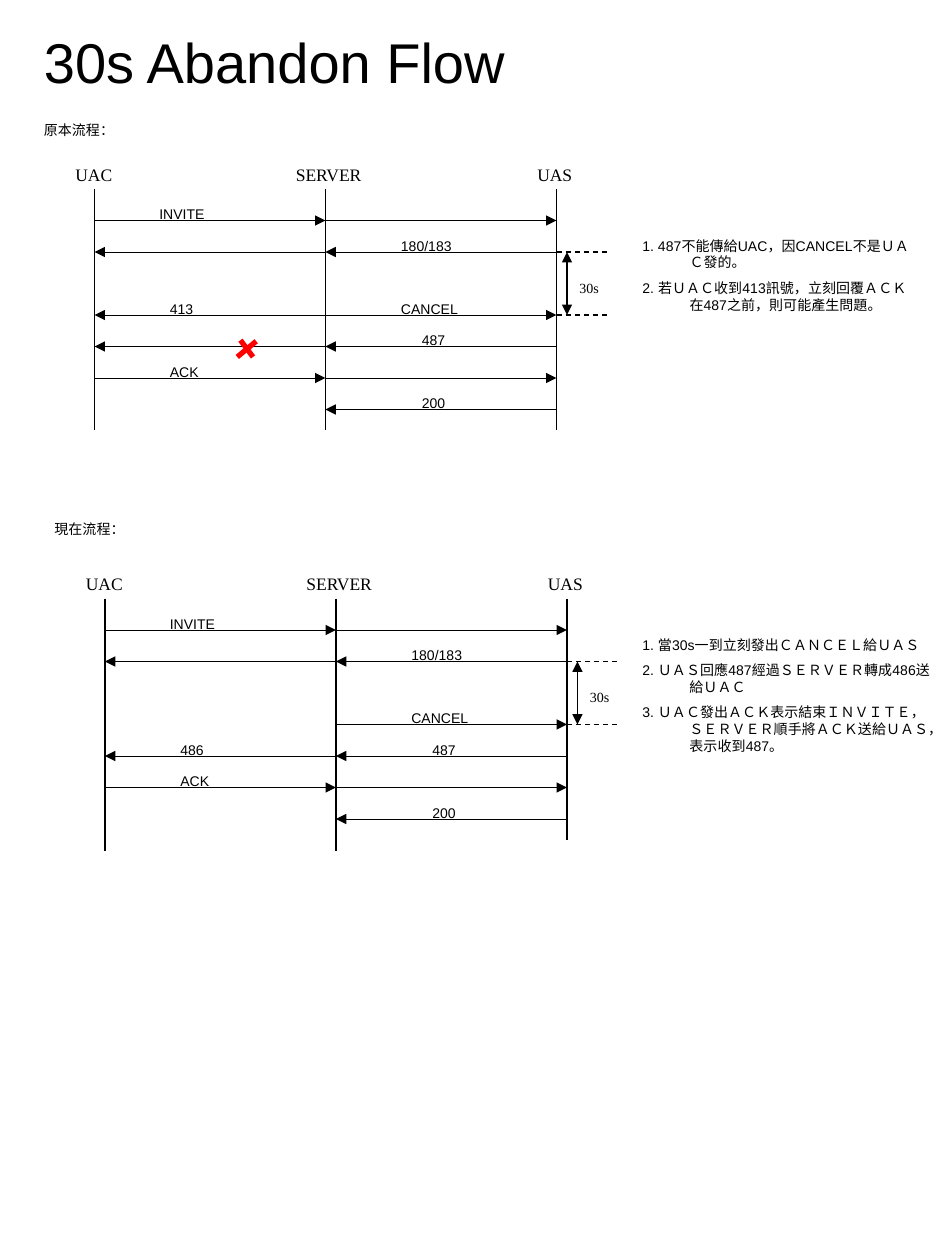
from lxml.etree import SubElement
from pptx import Presentation
from pptx.dml.color import RGBColor
from pptx.enum.dml import MSO_LINE
from pptx.enum.shapes import MSO_CONNECTOR
from pptx.enum.text import MSO_AUTO_SIZE
from pptx.oxml.ns import qn
from pptx.util import Cm, Pt

TITLE = "30s Abandon Flow"
LANES = [("UAC", 3, 6), ("SERVER", 4, 9), ("UAS", 3, 6)]
LABELS = {
    "INVITE": (5, 7), "180/183": (6, 10), "CANCEL": (6, 8), "ACK": (6, 7),
    "413": (6, 5), "486": (6, 5), "487": (8, 5), "200": (8, 5),
}
SHARED_MESSAGES = [
    (1, 0, ">", "INVITE"), (1, 1, ">", None),
    (2, 0, "<", None), (2, 1, "<", "180/183"),
    (4, 1, ">", "CANCEL"),
    (5, 1, "<", "487"),
    (6, 0, ">", "ACK"), (6, 1, ">", None),
    (7, 1, "<", "200"),
]
FLOWS = [
    {
        "heading": "原本流程：", "heading_at": (3, 11),
        "left": 9, "top": 18, "lifelines": (23, 23, 23),
        "messages": [(4, 0, "<", "413"), (5, 0, "<", None)],
        "cross": [((13.9, 14.4), (15.1, 16)), ((15.4, 14.5), (13.6, 16))],
        "notes_at": (60, 22, 28, 9),
        "notes": [
            "1. 487不能傳給UAC，因CANCEL不是ＵＡＣ發的。",
            "2. 若ＵＡＣ收到413訊號，立刻回覆ＡＣＫ在487之前，則可能產生問題。",
        ],
    },
    {
        "heading": "現在流程：", "heading_at": (4, 49),
        "left": 10, "top": 57, "lifelines": (24, 24, 23),
        "messages": [(5, 0, "<", "486")],
        "cross": [],
        "notes_at": (60, 60, 30, 12.5),
        "notes": [
            "1. 當30s一到立刻發出ＣＡＮＣＥＬ給ＵＡＳ",
            "2. ＵＡＳ回應487經過ＳＥＲＶＥＲ轉成486送給ＵＡＣ",
            "3. ＵＡＣ發出ＡＣＫ表示結束ＩＮＶＩＴＥ，ＳＥＲＶＥＲ順手將ＡＣＫ送給ＵＡＳ，表示收到487。",
        ],
    },
]
LANE_GAP, ROW_GAP = 22, 3
TIMER_START, TIMER_END = 2, 4
LABEL_HEIGHT = 2.9

presentation = Presentation()
presentation.slide_width, presentation.slide_height = Cm(19.05), Cm(25.4)
slide = presentation.slides.add_slide(presentation.slide_layouts[6])


def grid(units):
    return Cm(units * 2.54 / 12)


def color(code):
    return RGBColor.from_string(code)


def add_text(lines, left, top, width, height=LABEL_HEIGHT, size=8, font="Arial", grow=True):
    box = slide.shapes.add_textbox(grid(left), grid(top), grid(width), grid(height))
    frame = box.text_frame
    frame.word_wrap = True
    frame.auto_size = MSO_AUTO_SIZE.SHAPE_TO_FIT_TEXT if grow else MSO_AUTO_SIZE.NONE
    frame.text = "\n".join(lines)
    for paragraph in frame.paragraphs:
        paragraph.space_before = Pt(size * 0.62)
        paragraph.font.size = Pt(size)
        paragraph.font.name = font
        paragraph.font.color.rgb = color("000000")
        properties = paragraph._p.get_or_add_pPr()
        properties.set("marL", str(Cm(0.95)))
        properties.set("indent", str(-Cm(0.95)))


def add_line(start, end, width, ink="000000", arrows="", dashed=False):
    line = slide.shapes.add_connector(
        MSO_CONNECTOR.STRAIGHT, *(grid(units) for units in (*start, *end)))
    line.line.width = Pt(width)
    line.line.color.rgb = color(ink)
    if dashed:
        line.line.dash_style = MSO_LINE.DASH
    outline = line.line._get_or_add_ln()
    for mark, tag in (("<", "a:headEnd"), (">", "a:tailEnd")):
        if mark in arrows:
            SubElement(outline, qn(tag), type="triangle")
    SubElement(line._element.spPr, qn("a:effectLst"))


def draw_flow(flow):
    left, top = flow["left"], flow["top"]
    lanes = [left + LANE_GAP * index for index in range(len(LANES))]
    add_text([flow["heading"]], *flow["heading_at"], 14)

    for x, length, (name, shift, width) in zip(lanes, flow["lifelines"], LANES):
        add_line((x, top), (x, top + length), 1)
        add_text([name], x - shift, top - 3, width, 3.25, 10, "Times New Roman")

    for row, leg, direction, label in SHARED_MESSAGES + flow["messages"]:
        y = top + row * ROW_GAP
        add_line((lanes[leg], y), (lanes[leg + 1], y), 0.5, arrows=direction)
        if label:
            offset, width = LABELS[label]
            add_text([label], lanes[leg] + offset, y - 2, width)

    last = lanes[-1]
    start, end = (top + row * ROW_GAP for row in (TIMER_START, TIMER_END))
    add_line((last + 1, start), (last + 1, end), 0.75, arrows="<>")
    add_text(["30s"], last + 1, start + 2, 5, font="Times New Roman")
    for y in (start, end):
        add_line((last, y), (last + 5, y), 0.75, dashed=True)

    for (x1, y1), (x2, y2) in flow["cross"]:
        add_line((left + x1, top + y1), (left + x2, top + y2), 3, "FF0000")
    add_text(flow["notes"], *flow["notes_at"], grow=False)


add_text([TITLE], 3, 2, 64, 7.7, 32)
for flow in FLOWS:
    draw_flow(flow)

presentation.save("out.pptx")
